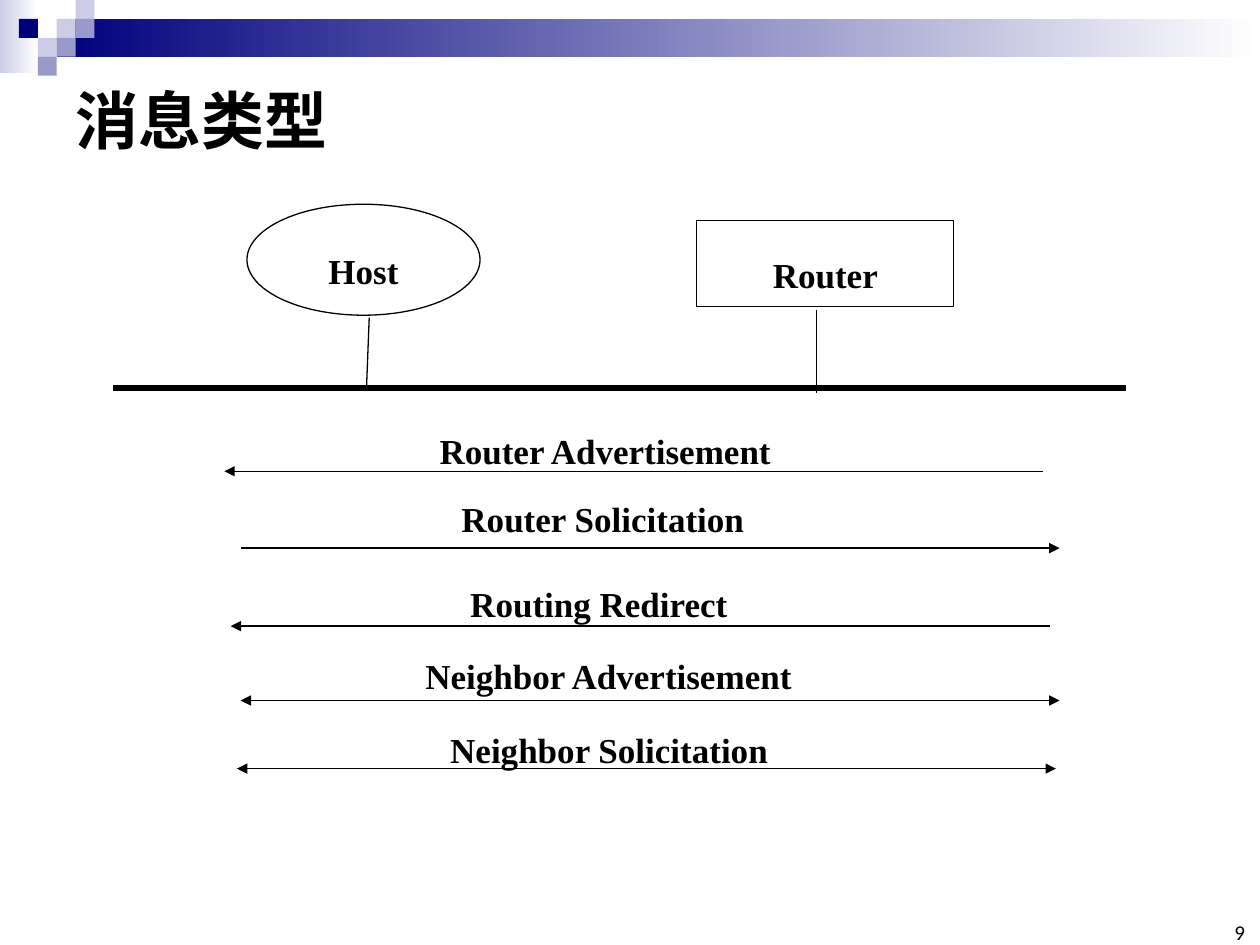
from lxml.etree import SubElement
from pptx import Presentation
from pptx.dml.color import RGBColor
from pptx.enum.shapes import MSO_CONNECTOR, MSO_SHAPE
from pptx.enum.text import MSO_ANCHOR, PP_ALIGN
from pptx.oxml.ns import qn
from pptx.util import Pt

BLACK, WHITE, NAVY, LILAC, VIOLET = "000000", "FFFFFF", "00007D", "CCCCE6", "9999CC"
LABEL = {"name": "Times New Roman", "size": Pt(20), "bold": True}
MIDDLE = {"vertical_anchor": MSO_ANCHOR.MIDDLE, "margin_left": 0, "margin_right": 0}
ARROW_LENGTH = 468

# text, label box, arrow start, arrowheads
MESSAGES = [
    ("Router Advertisement", (149, 229.7, 357.8, 44.6), (128.2, 269.3), ["headEnd"]),
    ("Router Solicitation", (147.6, 268.6, 357.8, 44.6), (137.5, 313.2), ["tailEnd"]),
    ("Routing Redirect", (145.4, 317.5, 357.8, 44.6), (131.8, 357.8), ["headEnd"]),
    ("Neighbor Advertisement", (132.5, 358.5, 394.5, 44.6), (137.5, 400.3), ["headEnd", "tailEnd"]),
    ("Neighbor Solicitation", (151.2, 401, 357.8, 44.6), (135.4, 439.2), ["headEnd", "tailEnd"]),
]


def rgb(value):
    return RGBColor.from_string(value)


def set_all(obj, values):
    for name, value in values.items():
        setattr(obj, name, value)


def write(tf, text, font, align, frame=None, spacing=None):
    set_all(tf, {"word_wrap": True, **(frame or {})})
    p = tf.paragraphs[0]
    set_all(p, {"alignment": align, "line_spacing": spacing})
    r = p.add_run()
    r.text = text
    set_all(r.font, font)
    r.font.color.rgb = rgb(BLACK)
    return p


def add_box(s, kind, box, fill, line=None):
    sp = s.shapes.add_shape(kind, *map(Pt, box))
    sp.shadow.inherit = False
    if isinstance(fill, str):
        sp.fill.solid()
        sp.fill.fore_color.rgb = rgb(fill)
    else:
        sp.fill.gradient()
        sp.fill.gradient_angle = 0
        for stop, color, position in zip(sp.fill.gradient_stops, fill, (0, 1)):
            stop.color.rgb = rgb(color)
            stop.position = position
    if line:
        sp.line.color.rgb = rgb(line)
        sp.line.width = Pt(0.75)
    else:
        sp.line.fill.background()
    return sp


def add_line(s, start, end, width=0.75, heads=()):
    cn = s.shapes.add_connector(MSO_CONNECTOR.STRAIGHT, *map(Pt, (*start, *end)))
    cn.line.color.rgb = rgb(BLACK)
    cn.line.width = Pt(width)
    ln = cn.line._get_or_add_ln()
    for head in heads:
        SubElement(ln, qn("a:" + head), type="triangle")
    SubElement(cn._element.spPr, qn("a:effectLst"))


def add_banner(s, x, y, w, h):
    """Fading bar with a checkered corner of squares a quarter of its height."""
    cell = h / 4
    add_box(s, MSO_SHAPE.RECTANGLE, (x, y, 2 * cell, h - 1.4), (LILAC, WHITE))
    add_box(s, MSO_SHAPE.RECTANGLE, (x + 3 * cell, y + cell, w - 3 * cell, 2 * cell), (NAVY, WHITE))
    for col, row, color in [(3, 1, LILAC), (4, 0, LILAC), (4, 1, VIOLET), (2, 2, LILAC),
                            (1, 1, NAVY), (3, 2, VIOLET), (2, 3, VIOLET)]:
        add_box(s, MSO_SHAPE.RECTANGLE, (x + col * cell, y + row * cell, cell, cell), color)


def add_title(s, text, box):
    title = s.shapes.title
    set_all(title, dict(zip(("left", "top", "width", "height"), map(Pt, box))))
    write(title.text_frame, text, {"name": "Calibri", "size": Pt(36), "bold": True},
          PP_ALIGN.LEFT, {"vertical_anchor": MSO_ANCHOR.MIDDLE})


def add_page_number(s, text, box):
    tb = s.shapes.add_textbox(*map(Pt, box))
    frame = {"vertical_anchor": MSO_ANCHOR.BOTTOM, "margin_left": 0, "margin_top": 0,
             "margin_right": 0, "margin_bottom": 0}
    write(tb.text_frame, text, {"name": "Calibri", "size": Pt(12)}, PP_ALIGN.RIGHT, frame)


def add_messages(s, x, y):
    """Labels first, so that their white boxes stay behind every arrow."""
    for text, (left, top, w, h), _, _ in MESSAGES:
        sp = add_box(s, MSO_SHAPE.RECTANGLE, (x + left, y + top, w, h), WHITE)
        p = write(sp.text_frame, text, LABEL, PP_ALIGN.CENTER,
                  {"vertical_anchor": MSO_ANCHOR.TOP}, 1.5)
        pPr = p._p.get_or_add_pPr()
        pPr.set("marL", str(Pt(58.3)))
        pPr.set("indent", str(Pt(-22.3)))
    for _, _, (left, top), heads in MESSAGES:
        add_line(s, (x + left, y + top), (x + left + ARROW_LENGTH, y + top), heads=heads)


def add_network(s, x, y, w, h):
    """Host and router above the link that joins them."""
    nodes = [
        ("Host", MSO_SHAPE.OVAL, (76.3, 0, 133.2, 63.4), (146.2, 64.8), (144.7, 103.7)),
        ("Router", MSO_SHAPE.RECTANGLE, (333.4, 9.4, 146.9, 49), (401.8, 60.5), (401.8, 108)),
    ]
    for text, kind, (left, top, bw, bh), start, end in nodes:
        sp = add_box(s, kind, (x + left, y + top, bw, bh), WHITE, BLACK)
        write(sp.text_frame, text, LABEL, PP_ALIGN.CENTER, MIDDLE, 1.5)
        add_line(s, (x + start[0], y + start[1]), (x + end[0], y + end[1]))
    add_line(s, (x, y + h), (x + w, y + h), 3)


def main():
    prs = Presentation()
    prs.slide_width, prs.slide_height = Pt(720), Pt(540)
    s = prs.slides.add_slide(prs.slide_layouts[5])
    add_banner(s, 0, 0, 720, 43.2)
    add_title(s, "消息类型", (36, 36, 648, 64))
    add_page_number(s, "9", (684, 527.8, 27.4, 12.2))
    add_messages(s, 0, 0)
    add_network(s, 64.8, 116.7, 578.9, 105.1)
    prs.save("out.pptx")


if __name__ == "__main__":
    main()
